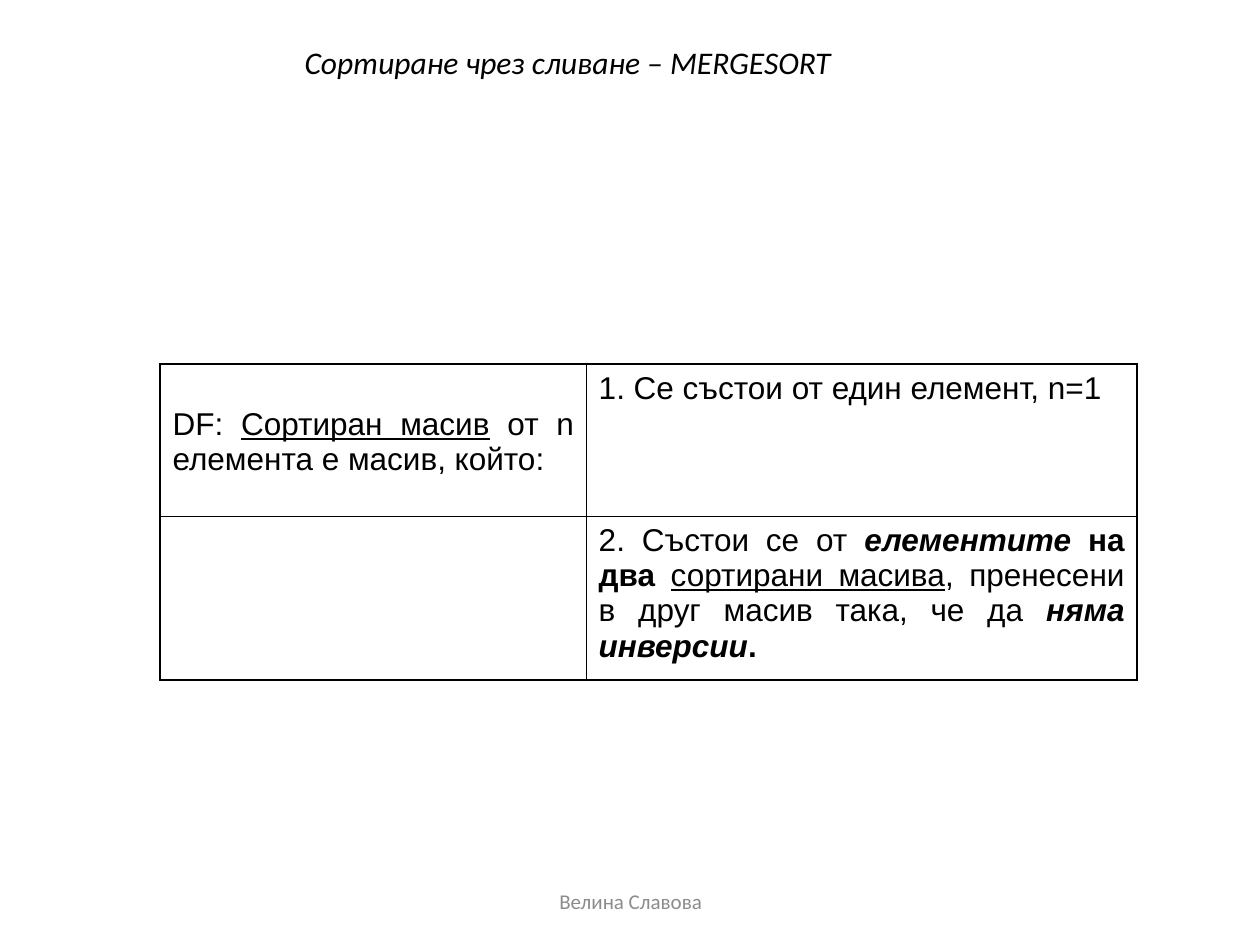
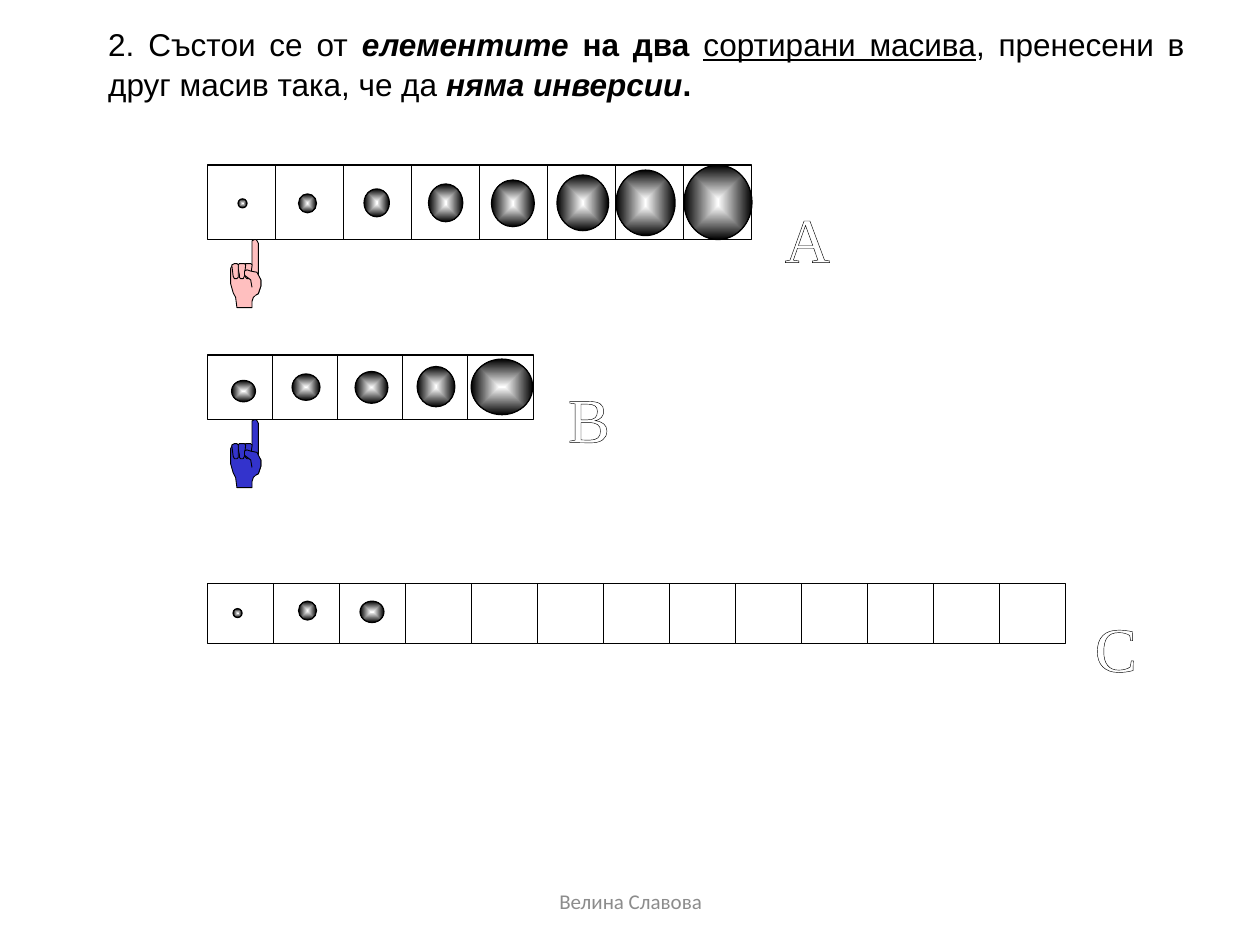
from pptx import Presentation
from pptx.dml.color import RGBColor
from pptx.enum.shapes import MSO_SHAPE as Shape
from pptx.enum.text import MSO_ANCHOR as Anchor, MSO_AUTO_SIZE as AutoSize, PP_ALIGN as Align
from pptx.oxml import parse_xml
from pptx.oxml.ns import nsdecls, qn
from pptx.util import Cm, Pt

# Shared look
BLACK, WHITE, GREY = "000000", "FFFFFF", "8C8C8C"
PINK, BLUE = "FFBFBF", "3333CC"
BODY = {"name": "Arial", "size": Pt(18)}
HEADING = {"name": "Calibri", "size": Pt(18), "italic": True}
FOOTER = {"name": "Calibri", "size": Pt(12)}
LETTER = {"name": "Times New Roman", "size": Pt(36)}
BOLD, UNDERLINE = {"bold": True}, {"underline": True}
BOLD_ITALIC = {"bold": True, "italic": True}
INSETS = {"margin_left": Cm(0.25), "margin_right": Cm(0.25),
          "margin_top": Cm(0.13), "margin_bottom": Cm(0.13)}

# Each text is a list of (wording, extra format)
ARRAY_DEFINITION = [("DF: ", {}), ("Сортиран масив", UNDERLINE),
                    (" от n елемента е масив, който:", {})]
BASE_CASE = [("1. Се състои от един елемент, n=1", {})]
MERGE_CASE = [("2. Състои се от ", {}), ("елементите", BOLD_ITALIC),
              (" на два ", BOLD), ("сортирани масива", UNDERLINE),
              (", пренесени в друг масив така, че да ", {}),
              ("няма инверсии", BOLD_ITALIC), (".", BOLD)]

# Arrays: row left, top, cell count, step, cell width, cell height (cm)
ARRAYS = [(4.19, 3.33, 8, 1.37, 1.37, 1.5),
          (4.19, 7.16, 5, 1.31, 1.33, 1.3),
          (4.19, 11.76, 13, 1.33, 1.33, 1.22)]
# Balls in each array: left, top, width, height (cm)
BALLS = [
    [(4.8, 4.01, 0.18, 0.18), (6.02, 3.91, 0.36, 0.38), (7.34, 3.81, 0.51, 0.56),
     (8.64, 3.71, 0.69, 0.76), (9.91, 3.63, 0.86, 0.94), (11.23, 3.53, 1.04, 1.12),
     (12.42, 3.43, 1.19, 1.32), (13.79, 3.33, 1.37, 1.5)],
    [(4.67, 7.67, 0.48, 0.43), (5.89, 7.54, 0.56, 0.53), (7.16, 7.49, 0.66, 0.64),
     (8.41, 7.39, 0.76, 0.81), (9.5, 7.24, 1.24, 1.12)],
    [(4.7, 12.27, 0.18, 0.18), (6.02, 12.12, 0.36, 0.38), (7.26, 12.12, 0.48, 0.43)],
]
LETTERS = [("А", 15.57, 3.9), ("B", 11.2, 7.53), ("С", 21.82, 12.15)]

# Pointing hand, in hundredths of an inch from its top left corner
HAND_UNIT = Cm(2.54) / 100
PALM = [(1, 21), (0, 23), (0, 35), (2, 42), (4, 46), (5, 54), (17, 54), (17, 49),
        (18, 46), (20, 44), (22, 43), (24, 37), (24, 32), (22, 29), (22, 3),
        (21, 1), (20, 0), (19, 0), (17, 1), (17, 3), (17, 21)]
FINGERS = [
    [(17, 21), (17, 20), (16, 19), (12, 19), (11, 20), (11, 28), (12, 30),
     (13, 31), (15, 31), (16, 29)],
    [(12, 20), (11, 19), (7, 19), (6, 20), (6, 23), (7, 28), (7, 30), (8, 31),
     (10, 31), (11, 29)],
    [(1, 21), (1, 20), (3, 19), (5, 19), (6, 20), (6, 30), (5, 31), (3, 31), (2, 29)],
]
THUMB_EDGE = [(20, 44), (22, 43), (24, 37), (24, 32), (21, 26), (16, 25), (13, 24),
              (11, 25), (11, 28), (12, 29), (16, 32), (17, 38)]
THUMB = THUMB_EDGE + [(14, 41), (17, 45)]


def color(code):
    return RGBColor.from_string(code)


def set_values(target, values):
    for name, value in values.items():
        setattr(target, name, value)


def write(frame, spans, base, align, ink=BLACK):
    """Fill the first paragraph with formatted spans."""
    frame.word_wrap = True
    para = frame.paragraphs[0]
    para.alignment = align
    for wording, extra in spans:
        span = para.add_run()
        span.text = wording
        set_values(span.font, {**base, **extra})
        span.font.color.rgb = color(ink)
    return para


def add_title(page, spans, area, base, align):
    title = page.shapes.title
    title.left, title.top, title.width, title.height = map(Cm, area)
    frame = title.text_frame
    set_values(frame, {**INSETS, "auto_size": AutoSize.NONE,
                       "vertical_anchor": Anchor.TOP})
    return write(frame, spans, base, align)


def add_text(page, wording, area, base, align, ink, anchor=Anchor.TOP):
    box = page.shapes.add_textbox(*map(Cm, area))
    box.text_frame.vertical_anchor = anchor
    return write(box.text_frame, [(wording, {})], base, align, ink)


def add_footer(page):
    add_text(page, "Велина Славова", (8.69, 17.65, 8.05, 1.02), FOOTER,
             Align.CENTER, GREY, Anchor.MIDDLE)


def line_xml(tag, points):
    return parse_xml(f'<a:{tag} {nsdecls("a")} w="{Pt(points)}"><a:solidFill>'
                     f'<a:srgbClr val="{BLACK}"/></a:solidFill></a:{tag}>')


def add_definition_table(page):
    table = page.shapes.add_table(2, 2, Cm(3.23), Cm(7.34), Cm(19.69), Cm(6.37)).table
    table.first_row = table.horz_banding = False
    for column, width in zip(table.columns, (8.59, 11.1)):
        column.width = Cm(width)
    for row, height in zip(table.rows, (3.07, 3.3)):
        row.height = Cm(height)
    for cell, spans in zip(table.iter_cells(),
                           (ARRAY_DEFINITION, BASE_CASE, [], MERGE_CASE)):
        set_values(cell, INSETS)
        cell.fill.solid()
        cell.fill.fore_color.rgb = color(WHITE)
        write(cell.text_frame, spans, BODY, Align.JUSTIFY)
        properties = cell._tc.get_or_add_tcPr()
        for index, tag in enumerate(("lnL", "lnR", "lnT", "lnB")):
            properties.insert(index, line_xml(tag, 1))
    # The definition starts one line lower than its neighbour
    table.cell(0, 0).margin_top = Cm(0.86)


def style(shape, fill=None, line=None):
    """Plain fill and black line; None leaves either one out."""
    shape.shadow.inherit = False
    if fill:
        shape.fill.solid()
        shape.fill.fore_color.rgb = color(fill)
    else:
        shape.fill.background()
    if line:
        shape.line.color.rgb = color(BLACK)
        shape.line.width = Pt(line)
    else:
        shape.line.fill.background()


def add_cells(page, left, top, count, step, width, height):
    for index in range(count):
        cell = page.shapes.add_shape(Shape.RECTANGLE, Cm(left + index * step),
                                     Cm(top), Cm(width), Cm(height))
        style(cell, WHITE, 0.75)


def add_ball(page, area):
    ball = page.shapes.add_shape(Shape.OVAL, *map(Cm, area))
    style(ball, line=0.75)
    ball.fill.gradient()
    for stop, shade in zip(ball.fill.gradient_stops, (WHITE, BLACK)):
        stop.color.rgb = color(shade)
    # Spread the gradient from the centre outwards
    gradient = ball._element.spPr.find(qn("a:gradFill"))
    gradient.remove(gradient.find(qn("a:lin")))
    gradient.append(parse_xml(
        f'<a:path {nsdecls("a")} path="shape"><a:fillToRect l="50000" t="50000" '
        'r="50000" b="50000"/></a:path>'))


def add_hand(page, left, top, fill):
    outlines = [(PALM, True, fill, 0.5)]
    outlines += [(finger, True, fill, 0.5) for finger in FINGERS]
    outlines += [(THUMB, True, fill, None), (THUMB_EDGE, False, None, 0.5)]
    parts = []
    for points, closed, inside, line in outlines:
        builder = page.shapes.build_freeform(*points[0], scale=HAND_UNIT)
        builder.add_line_segments(points[1:], close=closed)
        part = builder.convert_to_shape(Cm(left), Cm(top))
        style(part, inside, line)
        parts.append(part)
    page.shapes.add_group_shape(parts)


def add_letter(page, letter, left, top):
    para = add_text(page, letter, (left, top, 1.6, 1.7), LETTER, Align.LEFT, WHITE)
    para.runs[0]._r.get_or_add_rPr().insert(0, line_xml("ln", 0.75))


def build_definition_page(page):
    add_title(page, [("Сортиране чрез сливане – MERGESORT", {})],
              (5.89, 0.74, 14.63, 1.65), HEADING, Align.LEFT)
    add_definition_table(page)
    add_footer(page)


def build_merge_page(page):
    para = add_title(page, MERGE_CASE, (1.93, 0.33, 22.2, 1.8), BODY, Align.JUSTIFY)
    para.line_spacing = 1.06
    for array, balls in zip(ARRAYS, BALLS):
        add_cells(page, *array)
        for ball in balls:
            add_ball(page, ball)
    for top, fill in ((4.83, PINK), (8.46, BLUE)):
        add_hand(page, 4.65, top, fill)
    for letter in LETTERS:
        add_letter(page, *letter)
    add_footer(page)


def main():
    deck = Presentation()
    deck.slide_width, deck.slide_height = Cm(25.4), Cm(19.05)
    title_only = deck.slide_layouts[5]
    for build in (build_definition_page, build_merge_page):
        build(deck.slides.add_slide(title_only))
    deck.save("out.pptx")


main()
